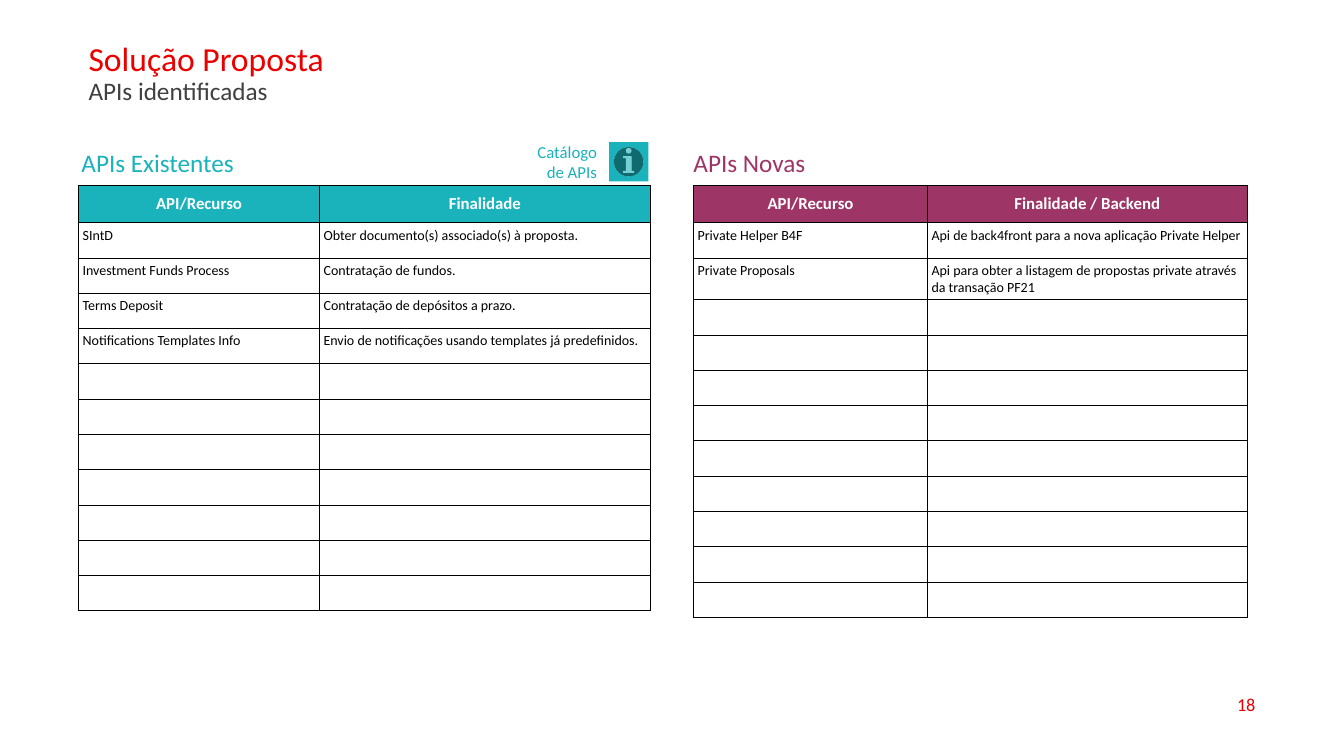
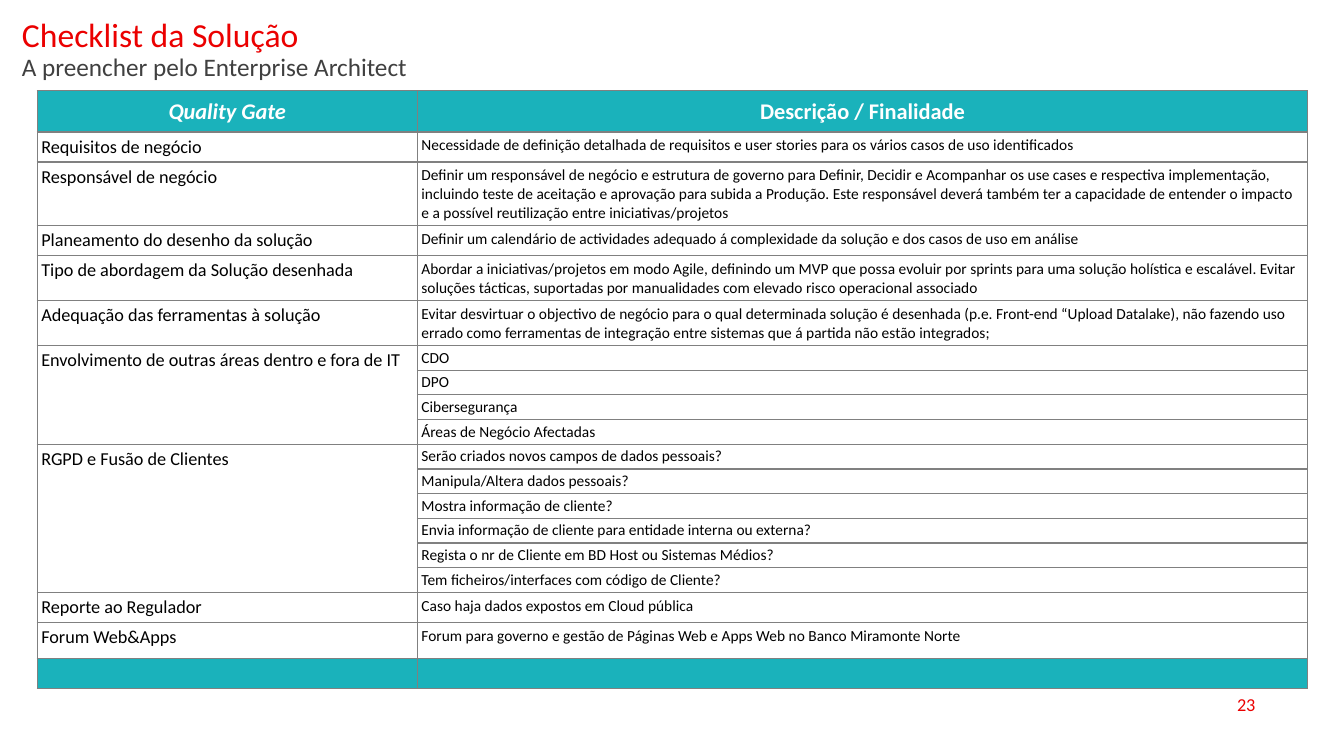
from lxml import etree
from pptx import Presentation
from pptx.dml.color import RGBColor
from pptx.enum.shapes import MSO_SHAPE
from pptx.enum.text import MSO_ANCHOR, PP_ALIGN
from pptx.oxml.ns import qn
from pptx.util import Inches, Pt

RED = RGBColor(0xEB, 0x00, 0x00)
TEAL = RGBColor(0x1A, 0xB2, 0xBB)
PLUM = RGBColor(0x9D, 0x35, 0x66)
CHARCOAL = RGBColor(0x40, 0x40, 0x40)
GRAY = RGBColor(0x80, 0x80, 0x80)
BLACK = RGBColor(0x00, 0x00, 0x00)
WHITE = RGBColor(0xFF, 0xFF, 0xFF)

LEFT, CENTER, RIGHT = PP_ALIGN.LEFT, PP_ALIGN.CENTER, PP_ALIGN.RIGHT
TOP, MIDDLE = MSO_ANCHOR.TOP, MSO_ANCHOR.MIDDLE
INFO_BUTTON = MSO_SHAPE.ACTION_BUTTON_INFORMATION

FONT = "Calibri"
SLIDE_W, SLIDE_H = 13.33, 7.5
CELL_INSET = 0.04
API_ROWS = 11
API_HEADER_H, API_ROW_H = 0.37, 0.35

EXISTING_APIS = [
    ("SIntD", "Obter documento(s) associado(s) à proposta."),
    ("Investment Funds Process", "Contratação de fundos."),
    ("Terms Deposit", "Contratação de depósitos a prazo."),
    ("Notifications Templates Info",
     "Envio de notificações usando templates já predefinidos."),
]
NEW_APIS = [
    ("Private Helper B4F",
     "Api de back4front para a nova aplicação Private Helper"),
    ("Private Proposals",
     "Api para obter a listagem de propostas private através da transação PF21"),
]
QUALITY_GATES = [
    ("Requisitos de negócio", 0.28, [
        "Necessidade de definição detalhada de requisitos e user stories para "
        "os vários casos de uso identificados"]),
    ("Responsável de negócio", 0.6, [
        "Definir um responsável de negócio e estrutura de governo para Definir, "
        "Decidir e Acompanhar os use cases e respectiva implementação, incluindo "
        "teste de aceitação e aprovação para subida a Produção. Este responsável "
        "deverá também ter a capacidade de entender o impacto e a possível "
        "reutilização entre iniciativas/projetos"]),
    ("Planeamento do desenho da solução", 0.28, [
        "Definir um calendário de actividades adequado á complexidade da solução "
        "e dos casos de uso em análise"]),
    ("Tipo de abordagem da Solução desenhada", 0.43, [
        "Abordar a iniciativas/projetos em modo Agile, definindo um MVP que possa "
        "evoluir por sprints para uma solução holística e escalável. Evitar "
        "soluções tácticas, suportadas por manualidades com elevado risco "
        "operacional associado"]),
    ("Adequação das ferramentas à solução", 0.43, [
        "Evitar desvirtuar o objectivo de negócio para o qual determinada solução "
        "é desenhada (p.e. Front-end “Upload Datalake), não fazendo uso errado "
        "como ferramentas de integração entre sistemas que á partida não estão "
        "integrados;"]),
    ("Envolvimento de outras áreas dentro e fora de IT", 0.23, [
        "CDO", "DPO", "Cibersegurança", "Áreas de Negócio Afectadas"]),
    ("RGPD e Fusão de Clientes", 0.23, [
        "Serão criados novos campos de dados pessoais?",
        "Manipula/Altera dados pessoais?",
        "Mostra informação de cliente?",
        "Envia informação de cliente para entidade interna ou externa?",
        "Regista o nr de Cliente em BD Host ou Sistemas Médios?",
        "Tem ficheiros/interfaces com código de Cliente?"]),
    ("Reporte ao Regulador", 0.28, ["Caso haja dados expostos em Cloud pública"]),
    ("Forum Web&Apps", 0.36, [
        "Forum para governo e gestão de Páginas Web e Apps Web no Banco "
        "Miramonte Norte"]),
]


def style_run(run, size, color, bold=False, italic=False):
    """Apply the deck font to one run."""
    run.font.name = FONT
    run.font.size = Pt(size)
    run.font.color.rgb = color
    run.font.bold = bold
    run.font.italic = italic


def add_text(slide, box, text, styles, align=LEFT, anchor=TOP, spacing=None):
    """Place a one-paragraph text box, with one (size, colour) per line."""
    frame = slide.shapes.add_textbox(*map(Inches, box)).text_frame
    frame.word_wrap = True
    frame.vertical_anchor = anchor
    paragraph = frame.paragraphs[0]
    paragraph.text = text
    paragraph.alignment = align
    if spacing:
        paragraph.line_spacing = spacing
    for run, (size, color) in zip(paragraph.runs, styles):
        style_run(run, size, color)


def add_heading(slide, box, title, subtitle):
    """Place the red title with its gray subtitle."""
    add_text(slide, box, f"{title}\n{subtitle}", [(24, RED), (18, CHARCOAL)],
             spacing=0.9)


def add_page_number(slide, number):
    """Place the page number at the bottom right."""
    add_text(slide, (9.55, 6.79, 3, 0.4), str(number), [(13, RED)],
             align=RIGHT, anchor=MIDDLE)


def add_grid(slide, left, top, columns, rows, rule_color, rule_width):
    """Add an unbanded, fully ruled table and return it."""
    table = slide.shapes.add_table(
        len(rows), len(columns), Inches(left), Inches(top),
        Inches(sum(columns)), Inches(sum(rows))).table
    table.first_row = table.horz_banding = False
    for column, width in zip(table.columns, columns):
        column.width = Inches(width)
    for row, height in zip(table.rows, rows):
        row.height = Inches(height)
    for cell in table.iter_cells():
        cell.margin_left = cell.margin_right = Inches(CELL_INSET)
        cell.margin_top = cell.margin_bottom = Inches(CELL_INSET)
        properties = cell._tc.get_or_add_tcPr()
        for side in ("a:lnL", "a:lnR", "a:lnT", "a:lnB"):
            rule = etree.SubElement(properties, qn(side), w=str(Pt(rule_width)))
            paint = etree.SubElement(rule, qn("a:solidFill"))
            etree.SubElement(paint, qn("a:srgbClr"), val=str(rule_color))
        cell.fill.background()
        etree.SubElement(cell.text_frame.paragraphs[0]._p,
                         qn("a:endParaRPr"), sz="1000")
    return table


def fill_cell(cell, text, size, spacing=None):
    """Write black body text into a cell."""
    paragraph = cell.text_frame.paragraphs[0]
    paragraph.text = text
    if spacing:
        paragraph.line_spacing = spacing
    for run in paragraph.runs:
        style_run(run, size, BLACK)


def fill_header(cell, text, size, color, italic=False):
    """Write a bold white column heading on a coloured cell."""
    cell.fill.solid()
    cell.fill.fore_color.rgb = color
    cell.vertical_anchor = MIDDLE
    paragraph = cell.text_frame.paragraphs[0]
    paragraph.text = text
    paragraph.alignment = CENTER
    for run in paragraph.runs:
        style_run(run, size, WHITE, bold=True, italic=italic)


def add_api_panel(slide, left, top, columns, label, label_left, headings, apis, accent):
    """Place a labelled API table."""
    add_text(slide, (label_left, top - 0.43, 2.2, 0.4), label, [(18, accent)])
    heights = [API_HEADER_H] + [API_ROW_H] * API_ROWS
    table = add_grid(slide, left, top, columns, heights, BLACK, 0.75)
    for column, heading in enumerate(headings):
        fill_header(table.cell(0, column), heading, 12, accent)
    for row, api in enumerate(apis, start=1):
        for column, text in enumerate(api):
            fill_cell(table.cell(row, column), text, 10)


def add_catalogue_button(slide, left, top):
    """Place the catalogue caption and its information button."""
    add_text(slide, (left, top, 0.83, 0.5), "Catálogo de APIs", [(12, TEAL)],
             align=RIGHT)
    button = slide.shapes.add_shape(
        INFO_BUTTON, Inches(left + 0.85), Inches(top + 0.05),
        Inches(0.39), Inches(0.39))
    button.shadow.inherit = False
    button.fill.solid()
    button.fill.fore_color.rgb = TEAL
    button.line.fill.background()


def add_checklist(slide, left, top, columns):
    """Place the quality gate table, merging each gate over its checks."""
    heights = [0.41]
    for _, height, checks in QUALITY_GATES:
        heights += [height] * len(checks)
    heights.append(0.3)
    table = add_grid(slide, left, top, columns, heights, GRAY, 1)
    fill_header(table.cell(0, 0), "Quality Gate", 16, TEAL, italic=True)
    fill_header(table.cell(0, 1), "Descrição / Finalidade", 16, TEAL)
    row = 1
    for gate, _, checks in QUALITY_GATES:
        grouped = len(checks) > 1
        if grouped:
            table.cell(row, 0).merge(table.cell(row + len(checks) - 1, 0))
        fill_cell(table.cell(row, 0), gate, 13)
        for offset, check in enumerate(checks):
            fill_cell(table.cell(row + offset, 1), check, 11,
                      0.9 if grouped else None)
        row += len(checks)
    for column in range(len(columns)):
        closing = table.cell(row, column)
        closing.fill.solid()
        closing.fill.fore_color.rgb = TEAL


def build_api_slide(slide):
    """Build the slide of existing and new APIs."""
    add_heading(slide, (0.78, 0.37, 9.42, 0.33), "Solução Proposta",
                "APIs identificadas")
    add_api_panel(slide, 0.78, 1.84, (2.39, 3.28), "APIs Existentes", 0.71,
                  ("API/Recurso", "Finalidade"), EXISTING_APIS, TEAL)
    add_api_panel(slide, 6.88, 1.84, (2.32, 3.17), "APIs Novas", 6.78,
                  ("API/Recurso", "Finalidade / Backend"), NEW_APIS, PLUM)
    add_catalogue_button(slide, 5.19, 1.36)
    add_page_number(slide, 18)


def build_checklist_slide(slide):
    """Build the solution checklist slide."""
    add_heading(slide, (0.12, 0.13, 6.76, 0.59), "Checklist da Solução",
                "A preencher pelo Enterprise Architect")
    add_page_number(slide, 23)
    add_checklist(slide, 0.37, 0.9, (3.77, 8.83))


def main():
    """Build and save the deck."""
    deck = Presentation()
    deck.slide_width, deck.slide_height = Inches(SLIDE_W), Inches(SLIDE_H)
    blank = deck.slide_layouts[6]
    for build in (build_api_slide, build_checklist_slide):
        build(deck.slides.add_slide(blank))
    deck.save("out.pptx")


if __name__ == "__main__":
    main()
